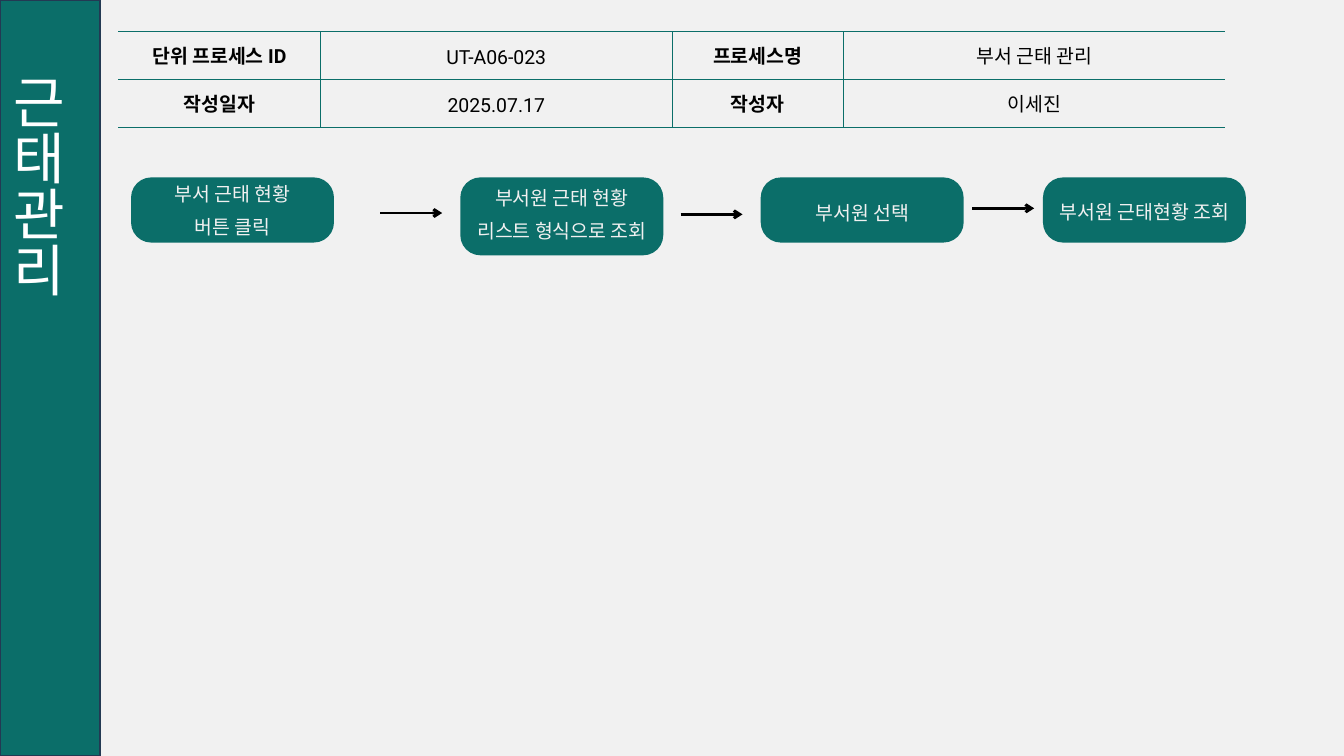
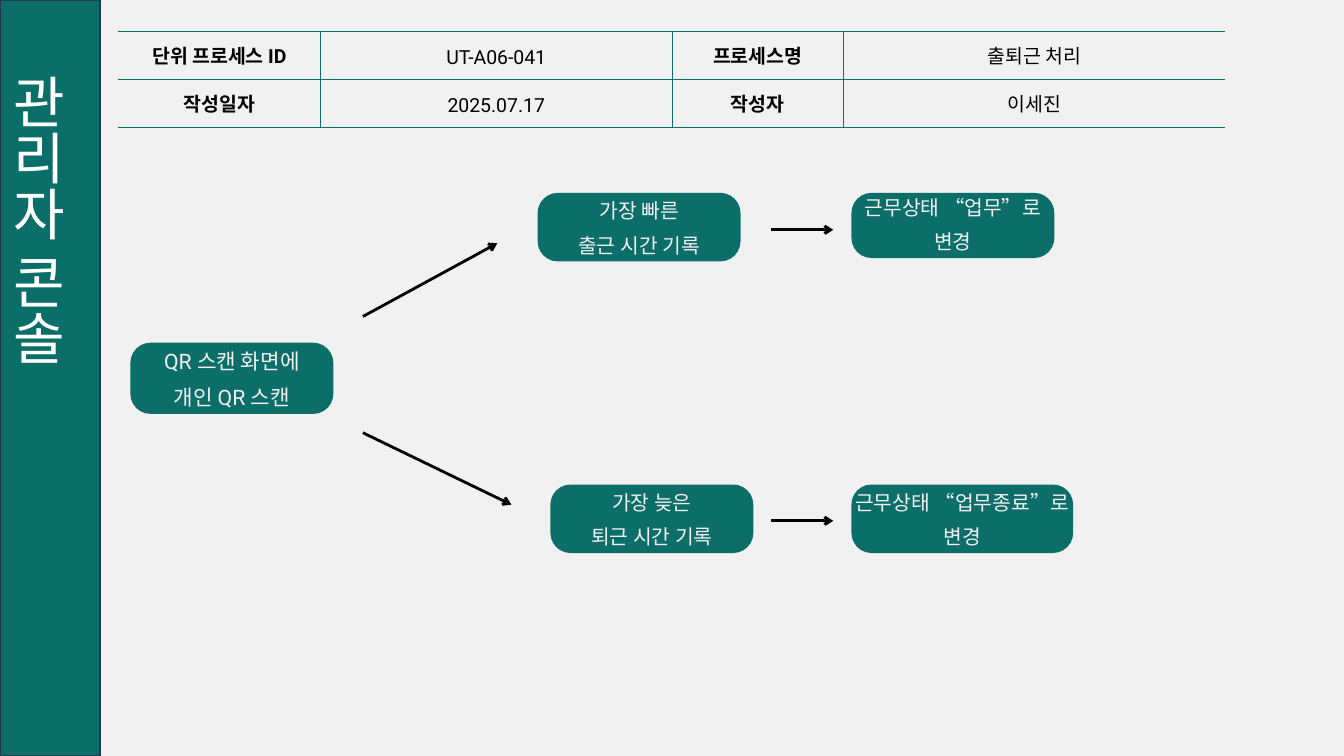
from dataclasses import dataclass

from lxml import etree
from pptx import Presentation
from pptx.dml.color import RGBColor
from pptx.enum.shapes import MSO_CONNECTOR, MSO_SHAPE
from pptx.enum.text import MSO_ANCHOR, PP_ALIGN
from pptx.oxml.ns import qn
from pptx.util import Inches, Pt

RECT, ROUNDED = MSO_SHAPE.RECTANGLE, MSO_SHAPE.ROUNDED_RECTANGLE
STRAIGHT = MSO_CONNECTOR.STRAIGHT
CENTER, JUSTIFY = PP_ALIGN.CENTER, PP_ALIGN.JUSTIFY
MIDDLE, BOTTOM = MSO_ANCHOR.MIDDLE, MSO_ANCHOR.BOTTOM


@dataclass(frozen=True)
class Theme:
    """Colours, fonts and sizes shared by the slides."""

    paper: str = "F1F1F1"
    teal: str = "0B6E69"
    navy: str = "233953"
    black: str = "000000"
    white: str = "FFFFFF"
    body_font: str = "Roboto"
    title_font: str = "Calibri"
    title: float = 60
    body: float = 20.8
    branch: float = 21.8
    start: float = 22.8
    border: float = 0.75
    arrow: float = 3
    table_leading: float = 1.404
    node_leading: float = 1.693


T = Theme()
WIDTH, HEIGHT = 20, 11.25
SIDEBAR = (0, 0, 1.49, HEIGHT)
HEADER = (1.76, 0.47, 16.47, 1.42)
FLOW = (1.95, 2.64)
HEADER_COLS = (3.01, 5.23, 2.55, 5.68)
NODE_W, RADIUS, LABEL_RATIO = 3.02, 0.3, 1.44
ARROW_LEN, TITLE_TAB = 0.92, 1


@dataclass(frozen=True)
class Node:
    """A step of the flow, placed relative to the flow's corner."""

    x: float
    y: float
    h: float
    lines: tuple
    size: float = T.body
    w: float = NODE_W
    lift: float = 0


def rgb(value):
    """Return a colour from its hex code."""
    return RGBColor.from_string(value)


def put_text(tf, lines, *, size, color, font=T.body_font, bold=False, align=CENTER,
             anchor=MIDDLE, leading=None):
    """Write one paragraph per line with the given format."""
    tf.word_wrap = True
    tf.vertical_anchor = anchor
    for i, line in enumerate(lines):
        p = tf.add_paragraph() if i else tf.paragraphs[0]
        p.alignment = align
        if leading:
            p.line_spacing = Pt(round(size * leading, 1))
        r = p.add_run()
        r.text = line
        r.font.name, r.font.size, r.font.bold = font, Pt(size), bold
        r.font.color.rgb = rgb(color)


def set_margins(target, side, end):
    """Set the side and the top and bottom margins of a cell or text frame."""
    target.margin_left = target.margin_right = Inches(side)
    target.margin_top = target.margin_bottom = Inches(end)


def add_box(shapes, kind, box, line=None):
    """Add a teal preset shape without shadow."""
    sp = shapes.add_shape(kind, *map(Inches, box))
    sp.shadow.inherit = False
    sp.fill.solid()
    sp.fill.fore_color.rgb = rgb(T.teal)
    if line:
        sp.line.color.rgb, sp.line.width = rgb(line), Pt(2)
    else:
        sp.line.fill.background()
    return sp


def add_sidebar(s, box, title):
    """Add the side band with its vertical title."""
    sp = add_box(s.shapes, RECT, box, T.navy)
    put_text(sp.text_frame, ["\t" + title], size=T.title, color=T.white,
             font=T.title_font, align=JUSTIFY, anchor=BOTTOM)
    body = sp.element.txBody
    body.bodyPr.set("vert", "eaVert")
    tabs = etree.SubElement(body.find(".//" + qn("a:pPr")), qn("a:tabLst"))
    etree.SubElement(tabs, qn("a:tab"), pos=str(Inches(TITLE_TAB)), algn="l")


def set_border(tc_pr, side, visible):
    """Draw or hide one border of a cell."""
    ln = etree.SubElement(tc_pr, qn(f"a:ln{side}"), w=str(Pt(T.border)))
    if visible:
        fill = etree.SubElement(ln, qn("a:solidFill"))
        etree.SubElement(fill, qn("a:srgbClr"), val=T.teal)
    else:
        etree.SubElement(ln, qn("a:noFill"))


def add_header(s, box, process_id, process_name):
    """Add the table that identifies the process."""
    texts = ("단위 프로세스 ID", process_id, "프로세스명", process_name,
             "작성일자", "2025.07.17", "작성자", "이세진")
    count = len(HEADER_COLS)
    frame = s.shapes.add_table(len(texts) // count, count, *map(Inches, box))
    table = frame.table
    table.first_row = table.horz_banding = False
    for col, width in zip(table.columns, HEADER_COLS):
        col.width = Inches(width)
    for i, (text, tc) in enumerate(zip(texts, frame.element.iter(qn("a:tc")))):
        row, col = divmod(i, count)
        cell = table.cell(row, col)
        put_text(cell.text_frame, [text], size=T.body, color=T.black,
                 bold=col % 2 == 0, leading=T.table_leading)
        cell.vertical_anchor = MIDDLE
        set_margins(cell, 0.01, 0.01)
        borders = (("L", col > 0), ("R", col < count - 1), ("T", True), ("B", True))
        for side, visible in borders:
            set_border(tc.get_or_add_tcPr(), side, visible)
        cell.fill.background()


def add_node(s, origin, node):
    """Add a rounded step grouped with its label."""
    x, y = origin[0] + node.x, origin[1] + node.y
    shapes = s.shapes.add_group_shape().shapes
    sp = add_box(shapes, ROUNDED, (x, y, node.w, node.h))
    sp.adjustments[0] = RADIUS / node.h
    label_h = node.h * LABEL_RATIO
    top = y + node.h - node.lift - label_h
    label = shapes.add_textbox(*map(Inches, (x, top, node.w, label_h)))
    set_margins(label.text_frame, 0, 0.06)
    put_text(label.text_frame, node.lines, size=node.size, color=T.paper,
             anchor=BOTTOM if len(node.lines) > 1 else MIDDLE,
             leading=T.node_leading)


def add_arrow(s, origin, x, y, dx=ARROW_LEN, dy=0):
    """Add an arrow from a point of the flow."""
    x, y = origin[0] + x, origin[1] + y
    c = s.shapes.add_connector(STRAIGHT, *map(Inches, (x, y, x + dx, y + dy)))
    c.line.color.rgb, c.line.width = rgb(T.black), Pt(T.arrow)
    sp_pr = c.element.spPr
    etree.SubElement(sp_pr.find(qn("a:ln")), qn("a:tailEnd"), type="arrow")
    etree.SubElement(sp_pr, qn("a:effectLst"))


def add_process(prs, title, process_id, process_name, nodes, arrows):
    """Add a slide with side band, header table and flow."""
    s = prs.slides.add_slide(prs.slide_layouts[6])
    s.background.fill.solid()
    s.background.fill.fore_color.rgb = rgb(T.paper)
    add_header(s, HEADER, process_id, process_name)
    for node in nodes:
        add_node(s, FLOW, node)
    for arrow in arrows:
        add_arrow(s, FLOW, *arrow)
    add_sidebar(s, SIDEBAR, title)


ATTENDANCE_NODES = (
    Node(0, 0, 0.97, ("부서 근태 현황", "버튼 클릭")),
    Node(4.9, 0, 1.16, ("부서원 근태 현황", "리스트 형식으로 조회"), lift=0.13),
    Node(9.37, 0, 0.97, ("부서원 선택",), lift=-0.19),
    Node(13.57, 0, 0.97, ("부서원 근태현황 조회",), lift=-0.17),
)
ATTENDANCE_ARROWS = ((3.71, 0.53), (8.18, 0.55), (12.52, 0.46))

CONSOLE_NODES = (
    Node(-0.01, 2.46, 1.06, ("QR 스캔 화면에", "개인 QR 스캔"), T.start),
    Node(6.05, 0.23, 1.02, ("가장 빠른", "출근 시간 기록"), T.branch),
    Node(10.72, 0.23, 0.97, ("근무상태 “업무”로", "변경"), T.branch),
    Node(6.24, 4.57, 1.02, ("가장 늦은", "퇴근 시간 기록"), T.branch),
    Node(10.72, 4.57, 1.02, ("근무상태 “업무종료”로", "변경"), T.branch, w=3.3),
)
CONSOLE_ARROWS = ((9.53, 0.78), (9.53, 5.11), (3.45, 3.8, 2.21, 1.07), (3.45, 2.07, 2, -1.09))


def main():
    """Build and save the presentation."""
    prs = Presentation()
    prs.slide_width, prs.slide_height = Inches(WIDTH), Inches(HEIGHT)
    add_process(prs, "근태관리", "UT-A06-023", "부서 근태 관리",
                ATTENDANCE_NODES, ATTENDANCE_ARROWS)
    add_process(prs, "관리자 콘솔", "UT-A06-041", "출퇴근 처리",
                CONSOLE_NODES, CONSOLE_ARROWS)
    prs.save("out.pptx")


if __name__ == "__main__":
    main()
